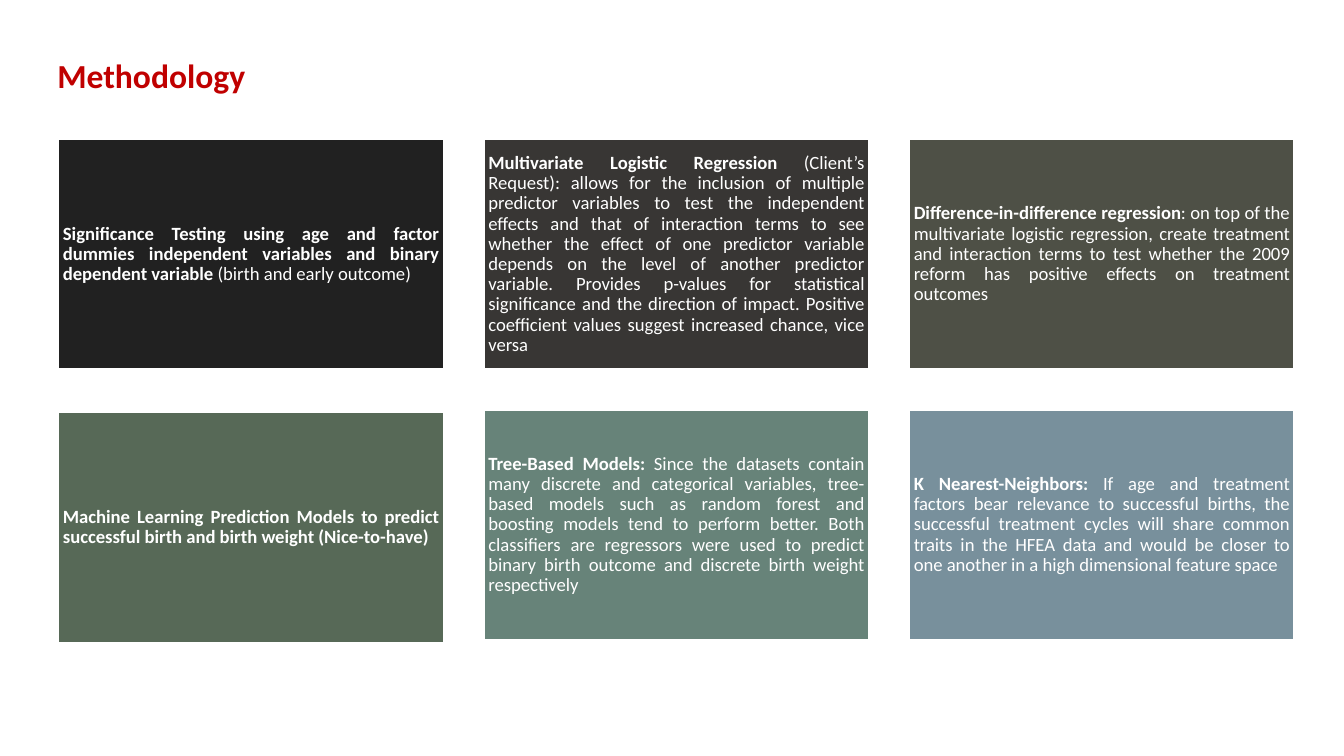
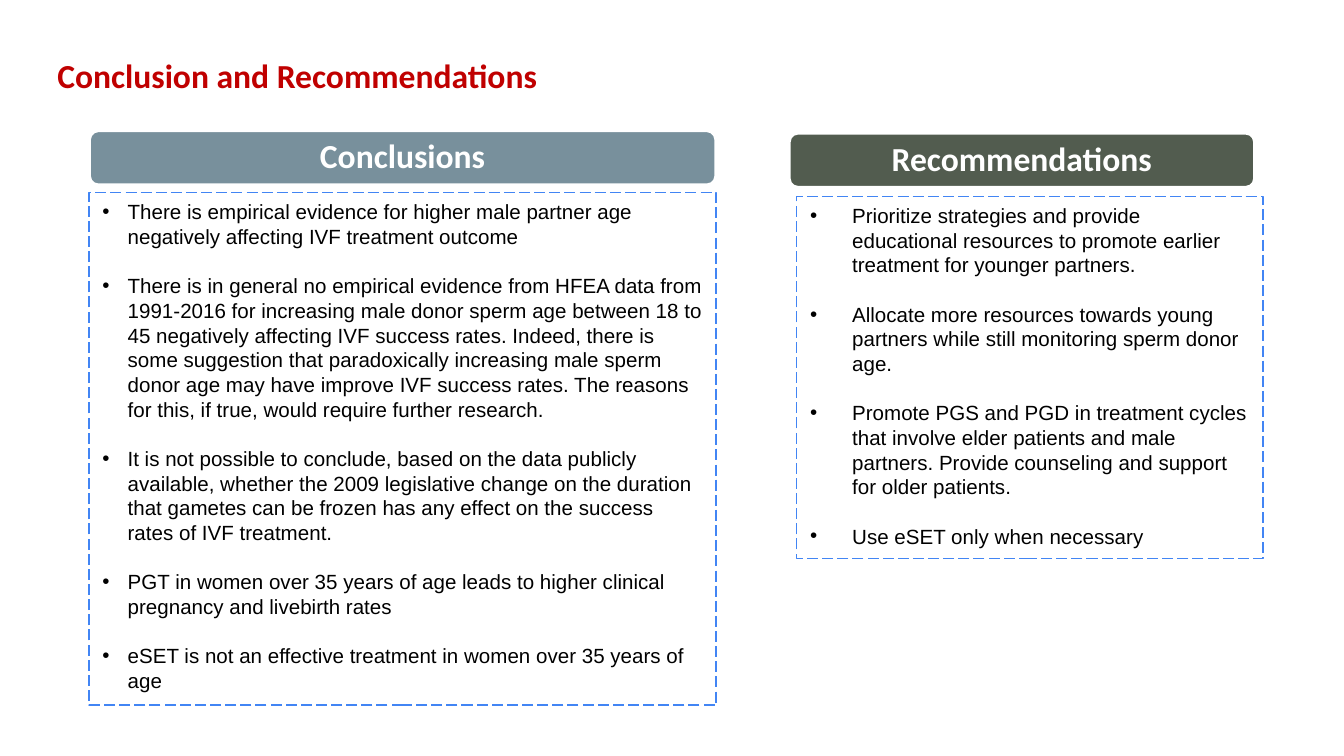
from dataclasses import dataclass

from pptx import Presentation
from pptx import util as u
from pptx.dml.color import RGBColor
from pptx.enum import dml, shapes, text

Pt = u.Pt

# Shared style
RED = RGBColor(0xC0, 0x00, 0x00)
WHITE = RGBColor(0xFF, 0xFF, 0xFF)
BLACK = RGBColor(0x00, 0x00, 0x00)
BORDER_BLUE = RGBColor(0x42, 0x85, 0xF4)
CHARCOAL = RGBColor(0x21, 0x21, 0x21)
BROWN_GREY = RGBColor(0x38, 0x36, 0x34)
OLIVE_GREY = RGBColor(0x4E, 0x50, 0x46)
OLIVE = RGBColor(0x52, 0x5C, 0x4F)
GREEN = RGBColor(0x57, 0x69, 0x57)
TEAL = RGBColor(0x67, 0x83, 0x79)
SLATE = RGBColor(0x78, 0x90, 0x9C)
HEAD_FONT, LIST_FONT = "Calibri", "Arial"

# Layouts of the default template
TWO_CONTENT, TITLE_ONLY = 3, 5

# Grid of method tiles
TILE_LEFT, TILE_TOP = 30.7, 74
TILE_WIDTH, TILE_HEIGHT = 207.4, 124.4
COLUMN_STEP, ROW_STEP, COLUMNS = 227.9, 145, 3


@dataclass
class Box:
    left: float
    top: float
    width: float
    height: float


@dataclass
class Method:
    fill: RGBColor
    name: str
    detail: str = ""
    drop: float = 0


@dataclass
class Panel:
    heading: str
    fill: RGBColor
    header: Box
    body: Box
    indent: float
    points: list[str]


METHODS = [
    Method(CHARCOAL,
           "Significance Testing using age and factor dummies independent "
           "variables and binary dependent variable ",
           "(birth and early outcome)"),
    Method(BROWN_GREY, "Multivariate Logistic Regression ",
           "(Client’s Request): allows for the inclusion of multiple predictor "
           "variables to test the independent effects and that of interaction "
           "terms to see whether the effect of one predictor variable depends "
           "on the level of another predictor variable. Provides p-values for "
           "statistical significance and the direction of impact. Positive "
           "coefficient values suggest increased chance, vice versa"),
    Method(OLIVE_GREY, "Difference-in-difference regression",
           ": on top of the multivariate logistic regression, create treatment "
           "and interaction terms to test whether the 2009 reform has positive "
           "effects on treatment outcomes"),
    Method(GREEN,
           "Machine Learning Prediction Models to predict successful birth "
           "and birth weight (Nice-to-have)", drop=1.4),
    Method(TEAL, "Tree-Based Models: ",
           "Since the datasets contain many discrete and categorical variables, "
           "tree-based models such as random forest and boosting models tend to "
           "perform better. Both classifiers are regressors were used to predict "
           "binary birth outcome and discrete birth weight respectively"),
    Method(SLATE, "K Nearest-Neighbors: ",
           "If age and treatment factors bear relevance to successful births, "
           "the successful treatment cycles will share common traits in the HFEA "
           "data and would be closer to one another in a high dimensional "
           "feature space"),
]

PANELS = [
    Panel("Conclusions", SLATE, Box(47.7, 69.8, 336, 29.5),
          Box(47.7, 103.2, 336, 274.6), 13.5, [
        "There is empirical evidence for higher male partner age negatively "
        "affecting IVF treatment outcome",
        "There is in general no empirical evidence from HFEA data from 1991-2016 "
        "for increasing male donor sperm age between 18 to 45 negatively affecting "
        "IVF success rates. Indeed, there is some suggestion that paradoxically "
        "increasing male sperm donor age may have improve IVF success rates. The "
        "reasons for this, if true, would require further research.",
        "It is not possible to conclude, based on the data publicly available, "
        "whether the 2009 legislative change on the duration that gametes can be "
        "frozen has any effect on the success rates of IVF treatment.",
        "PGT in women over 35 years of age leads to higher clinical pregnancy and "
        "livebirth rates",
        "eSET is not an effective treatment in women over 35 years of age",
    ]),
    Panel("Recommendations", OLIVE, Box(422.6, 71.1, 249.8, 29.5),
          Box(426.8, 105.2, 249.8, 194), 22.5, [
        "Prioritize strategies and provide educational resources to promote "
        "earlier treatment for younger partners.",
        "Allocate more resources towards young partners while still monitoring "
        "sperm donor age.",
        "Promote PGS and PGD in treatment cycles that involve elder patients and "
        "male partners. Provide counseling and support for older patients.",
        "Use eSET only when necessary",
    ]),
]


def place(sp, box: Box) -> None:
    sp.left, sp.top = Pt(box.left), Pt(box.top)
    sp.width, sp.height = Pt(box.width), Pt(box.height)


def set_frame(tf, anchor, side: float, top: float) -> None:
    tf.word_wrap = True
    tf.auto_size = text.MSO_AUTO_SIZE.NONE
    tf.vertical_anchor = anchor
    tf.margin_left = tf.margin_right = Pt(side)
    tf.margin_top = tf.margin_bottom = Pt(top)


def style_run(r, font: str, size: float, color: RGBColor, bold: bool) -> None:
    r.font.name, r.font.size, r.font.bold = font, Pt(size), bold
    r.font.color.rgb = color


def add_titled_slide(prs, layout: int, title: str):
    s = prs.slides.add_slide(prs.slide_layouts[layout])
    sp = s.shapes.title
    place(sp, Box(30.7, 23.4, 576.7, 36.7))
    tf = sp.text_frame
    set_frame(tf, text.MSO_ANCHOR.MIDDLE, 0, 0)
    tf.text = title
    p = tf.paragraphs[0]
    p.alignment, p.line_spacing = text.PP_ALIGN.LEFT, 0.9
    style_run(p.runs[0], HEAD_FONT, 18, RED, True)
    return s


def add_block(s, kind, box: Box, fill: RGBColor, inset: float, align):
    """Add a filled block with a white outline; return its paragraph."""
    sp = s.shapes.add_shape(kind, Pt(box.left), Pt(box.top),
                            Pt(box.width), Pt(box.height))
    sp.shadow.inherit = False
    sp.fill.solid()
    sp.fill.fore_color.rgb = fill
    sp.line.color.rgb, sp.line.width = WHITE, Pt(2)
    set_frame(sp.text_frame, text.MSO_ANCHOR.MIDDLE, inset, inset)
    p = sp.text_frame.paragraphs[0]
    p.alignment, p.line_spacing = align, 0.9
    return p


def add_method(s, index: int, method: Method) -> None:
    row, column = divmod(index, COLUMNS)
    box = Box(TILE_LEFT + column * COLUMN_STEP,
              TILE_TOP + row * ROW_STEP + method.drop, TILE_WIDTH, TILE_HEIGHT)
    p = add_block(s, shapes.MSO_SHAPE.RECTANGLE, box, method.fill, 3,
                  text.PP_ALIGN.JUSTIFY)
    for words, bold in ((method.name, True), (method.detail, False)):
        if words:
            r = p.add_run()
            r.text = words
            style_run(r, HEAD_FONT, 10, WHITE, bold)


def fill_list(sp, panel: Panel) -> None:
    place(sp, panel.body)
    sp.line.color.rgb, sp.line.width = BORDER_BLUE, Pt(0.75)
    sp.line.dash_style = dml.MSO_LINE.LONG_DASH
    tf = sp.text_frame
    set_frame(tf, text.MSO_ANCHOR.TOP, 7.2, 3.6)
    tf.text = "\n".join(panel.points)
    for i, p in enumerate(tf.paragraphs):
        # The bullet itself comes from the template
        pPr = p._p.get_or_add_pPr()
        pPr.set("marL", str(Pt(panel.indent)))
        pPr.set("indent", str(-Pt(panel.indent)))
        p.line_spacing = 1.0
        p.space_before = Pt(13.2 if i else 0)
        style_run(p.runs[0], LIST_FONT, 11, BLACK, False)


def add_panel(s, sp, panel: Panel) -> None:
    fill_list(sp, panel)
    p = add_block(s, shapes.MSO_SHAPE.ROUNDED_RECTANGLE, panel.header,
                  panel.fill, 5, text.PP_ALIGN.CENTER)
    r = p.add_run()
    r.text = panel.heading
    style_run(r, HEAD_FONT, 18, WHITE, True)


def main() -> None:
    prs = Presentation()
    prs.slide_width, prs.slide_height = Pt(720), Pt(405)

    # Methodology
    s = add_titled_slide(prs, TITLE_ONLY, "Methodology")
    for i, method in enumerate(METHODS):
        add_method(s, i, method)

    # Conclusion and recommendations
    s = add_titled_slide(prs, TWO_CONTENT, "Conclusion and Recommendations")
    for idx, panel in enumerate(PANELS, start=1):
        add_panel(s, s.placeholders[idx], panel)

    prs.save("out.pptx")


if __name__ == "__main__":
    main()
